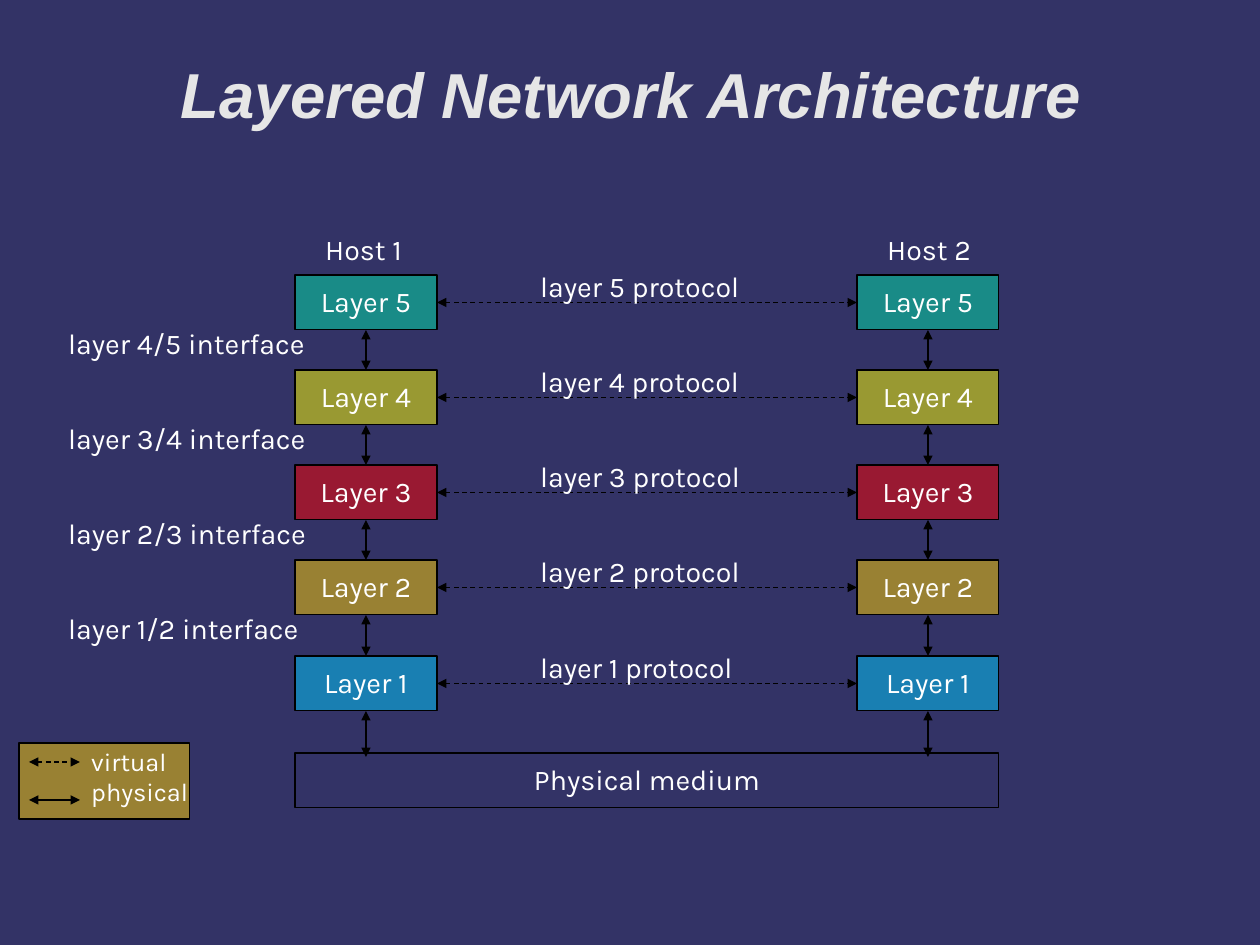
import pptx
import pptx.util
import pptx.dml.color
import pptx.enum.dml
import pptx.enum.shapes
import pptx.enum.text
import pptx.oxml
import pptx.oxml.ns

# Content
TITLE = "Layered Network Architecture"
LAYERS = [("5", "00E4A8"), ("4", "FFFF00"), ("3", "FF0000"),
          ("2", "FFCF01"), ("1", "00CCFF")]
HOSTS = [("Host 1", 295), ("Host 2", 857)]
MEDIUM = "Physical medium"
LEGEND = [("virtual", 762, True), ("physical", 800, False)]
GOLD = "FFCF01"

# Sizes in px
PX = 8000
WIDE, HIGH = 1260, 945
BOX_W, BOX_H = 142, 55
TOP, SPAN = 275, 381
TEXT_H = 46

ALIGN = pptx.enum.text.PP_ALIGN
ANCHOR = pptx.enum.text.MSO_ANCHOR
LABEL = {"size": pptx.util.Pt(18), "name": "Karla"}
SMALL = {"size": pptx.util.Pt(16), "name": "Karla"}
HEAD = {"size": pptx.util.Pt(40), "name": "Arial", "bold": True, "italic": True}

deck = pptx.Presentation()
deck.slide_width, deck.slide_height = WIDE * PX, HIGH * PX
slide = deck.slides.add_slide(deck.slide_layouts[6])
shapes = slide.shapes


def color(code):
    return pptx.dml.color.RGBColor.from_string(code)


def scale(*sizes):
    return [size * PX for size in sizes]


def add_xml(node, tag, **attrs):
    child = pptx.oxml.parse_xml(f"<a:{tag} {pptx.oxml.ns.nsdecls('a')}/>")
    for key, value in attrs.items():
        child.set(key, value)
    node.append(child)


def write(shape, lines, style=LABEL, ink="FFFFFF", center=False, space=0.96):
    frame = shape.text_frame
    frame.word_wrap = center
    frame.vertical_anchor = ANCHOR.MIDDLE if center else ANCHOR.TOP
    frame.text = "\n".join(lines)
    for para in frame.paragraphs:
        para.alignment = ALIGN.CENTER if center else ALIGN.LEFT
        para.line_spacing = space
        for key, value in style.items():
            setattr(para.font, key, value)
        para.font.color.rgb = color(ink)
    return frame


def label(lines, x, y, w, h=TEXT_H, **look):
    frame = write(shapes.add_textbox(*scale(x, y, w, h)), lines, **look)
    frame.margin_right = 0  # room for the full line
    return frame


def box(x, y, w, h, fill=None):
    shape = shapes.add_shape(pptx.enum.shapes.MSO_SHAPE.RECTANGLE, *scale(x, y, w, h))
    shape.shadow.inherit = False
    shape.line.color.rgb = color("000000")
    shape.line.width = pptx.util.Pt(0.75)
    if fill:
        shape.fill.solid()
        shape.fill.fore_color.rgb = color(fill)
        solid = shape._element.spPr.find(pptx.oxml.ns.qn("a:solidFill"))
        add_xml(solid[0], "alpha", val="50000")
    else:
        shape.fill.background()
    return shape


def arrow(x1, y1, x2, y2, dashed=False):
    line = shapes.add_connector(pptx.enum.shapes.MSO_CONNECTOR.STRAIGHT,
                                *scale(x1, y1, x2, y2))
    line.line.color.rgb = color("000000")
    line.line.width = pptx.util.Pt(0.75)
    if dashed:
        line.line.dash_style = pptx.enum.dml.MSO_LINE.DASH
    for end in ("headEnd", "tailEnd"):
        add_xml(line.line._get_or_add_ln(), end, type="triangle")
    add_xml(line._element.spPr, "effectLst")
    return line


def link(start, side1, end, side2, dashed=False):
    line = arrow(0, 0, 0, 0, dashed)
    line.begin_connect(start, side1)
    line.end_connect(end, side2)


# Background and title
slide.background.fill.solid()
slide.background.fill.fore_color.rgb = color("333366")
title = label([TITLE], 93, 14, 1076, 158, style=HEAD, ink="E6E6E6",
              center=True, space=1.0)
for side in ("left", "top", "bottom"):
    setattr(title, f"margin_{side}", 0)

# Physical medium
first, last = HOSTS[0][1], HOSTS[-1][1]
write(box(first, 753, last + BOX_W - first, BOX_H), [MEDIUM], center=True)

# Layer stacks
tops = [TOP + i * SPAN // (len(LAYERS) - 1) for i in range(len(LAYERS))]
stacks = []
for host, x in HOSTS:
    label([host], x + 19, 229, 110)
    stack = []
    for (num, fill), y in zip(LAYERS, tops):
        layer = box(x, y, BOX_W, BOX_H, fill)
        write(layer, [f"Layer {num}"], center=True)
        stack.append(layer)
    for upper, lower in zip(stack, stack[1:]):
        link(upper, 2, lower, 0)
    mid = x + BOX_W // 2
    arrow(mid, tops[-1] + BOX_H, mid, 757).begin_connect(stack[-1], 2)
    stacks.append(stack)

# Protocols between the hosts
for (num, _), y, left, right in zip(LAYERS, tops, *stacks):
    link(left, 3, right, 1, dashed=True)
    label([f"layer {num} protocol"], 529, y - 9, 225)

# Interfaces between the layers
for (upper, _), (lower, _), y in zip(LAYERS, LAYERS[1:], tops):
    label([f"layer {lower}/{upper} interface"], 57, y + 48, 260)

# Legend
box(19, 743, 171, 76, GOLD)
label([name for name, _, _ in LEGEND], 80, 743, 118, 73, style=SMALL)
for _, y, dashed in LEGEND:
    arrow(29, y, 80, y, dashed)

deck.save("out.pptx")
